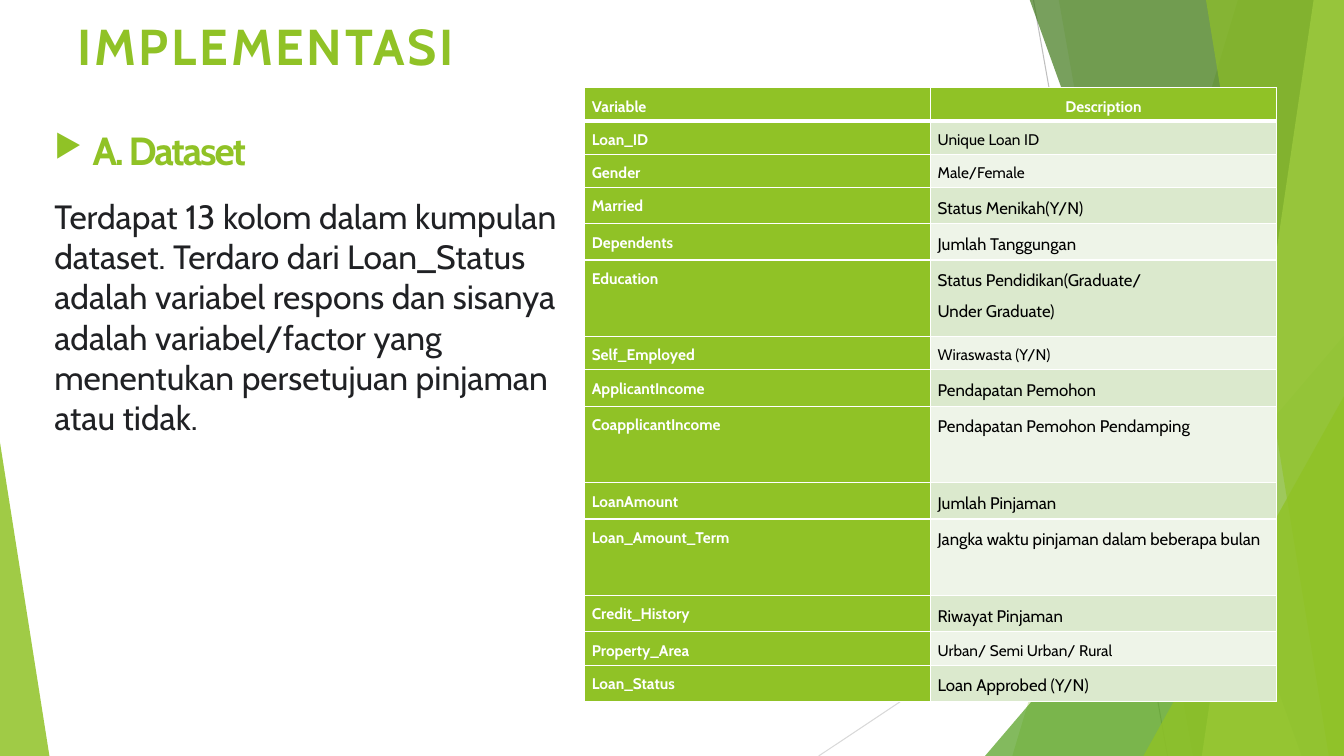
"""Build the IMPLEMENTASI slide with its loan dataset table."""
from lxml.etree import SubElement
from pptx import Presentation
from pptx.dml.color import RGBColor
from pptx.enum.shapes import MSO_CONNECTOR, MSO_SHAPE
from pptx.enum.text import MSO_ANCHOR as ANCHOR, MSO_AUTO_SIZE as AUTO, PP_ALIGN as ALIGN
from pptx.oxml import parse_xml
from pptx.oxml.ns import nsdecls, qn
from pptx.util import Pt

PX = 9144
COLORS = {
    "green": "90C226", "mid": "54A021", "dark": "3F7819", "lime": "C0E474",
    "gray": "BFBFBF", "pale": "D9D9D9", "white": "FFFFFF", "black": "000000",
    "text": "202124", "band": "DBE9CD", "light": "EEF4E8",
}


def style(p, size, color, bold=False, spacing=0):
    for r in p.runs:
        r.font.name = "Cabin"
        r.font.size = Pt(size)
        r.font.bold = bold
        r.font.color.rgb = RGBColor.from_string(COLORS[color])
        if spacing:
            r._r.get_or_add_rPr().set("spc", str(spacing))


def paint(s, color, alpha):
    s.shadow.inherit = False
    s.line.fill.background()
    s.fill.solid()
    s.fill.fore_color.rgb = RGBColor.from_string(COLORS[color])
    clr = s.fill._xPr.find(qn("a:solidFill"))[0]
    SubElement(clr, qn("a:alpha"), val=str(alpha * 1000))


prs = Presentation()
prs.slide_width, prs.slide_height = 1333 * PX, 750 * PX
slide = prs.slides.add_slide(prs.slide_layouts[5])
shapes = slide.shapes

for x1, y1, x2, y2, color in [(1025, 0, 1158, 750, "gray"), (1333, 403, 812, 750, "pale")]:
    line = shapes.add_connector(MSO_CONNECTOR.STRAIGHT, x1 * PX, y1 * PX, x2 * PX, y2 * PX)
    line.line.width = Pt(0.75)
    line.line.color.rgb = RGBColor.from_string(COLORS[color])
    SubElement(line._element.spPr, qn("a:effectLst"))

facets = [
    ("band", 1228, 1004, "green", 30),
    ("band", 1050, 1183, "green", 20),
    ("triangle", (977, 333, 356, 417), 1, "mid", 72),
    ("band", 1021, 1291, "dark", 70),
    ("band", 1303, 1192, "lime", 70),
    ("band", 1196, 1318, "green", 65),
    ("triangle", (1134, 393, 199, 357), 1, "green", 80),
    ("triangle", (0, 439, 49, 311), 0, "green", 85),
]
for kind, a, b, color, alpha in facets:
    if kind == "band":
        outline = shapes.build_freeform(a, -1, scale=PX)
        outline.add_line_segments([(1333, -1), (1333, 750), (b, 750)], close=True)
        s = outline.convert_to_shape()
    else:
        s = shapes.add_shape(MSO_SHAPE.ISOSCELES_TRIANGLE, *[v * PX for v in a])
        s.adjustments[0] = b
    paint(s, color, alpha)

rows = [
    ("Variable", "Description", 33),
    ("Loan_ID", "Unique Loan ID", 33),
    ("Gender", "Male/Female", 33),
    ("Married", "Status Menikah(Y/N)", 36),
    ("Dependents", "Jumlah Tanggungan", 36),
    ("Education", "Status Pendidikan(Graduate/\nUnder Graduate)", 76),
    ("Self_Employed", "Wiraswasta (Y/N)", 33),
    ("ApplicantIncome", "Pendapatan Pemohon", 36),
    ("CoapplicantIncome", "Pendapatan Pemohon Pendamping", 76),
    ("LoanAmount", "Jumlah Pinjaman", 36),
    ("Loan_Amount_Term", "Jangka waktu pinjaman dalam beberapa bulan", 76),
    ("Credit_History", "Riwayat Pinjaman", 36),
    ("Property_Area", "Urban/ Semi Urban/ Rural", 33),
    ("Loan_Status", "Loan Approbed (Y/N)", 36),
]
height = sum(h for _, _, h in rows)
table = shapes.add_table(len(rows), 2, 580 * PX, 87 * PX, 686 * PX, height * PX).table
for col in table.columns:
    col.width = 343 * PX
for i, (variable, description, h) in enumerate(rows):
    table.rows[i].height = h * PX
    for j, text in enumerate((variable, description)):
        cell = table.cell(i, j)
        cell.margin_left = cell.margin_right = 7 * PX
        cell.margin_top = cell.margin_bottom = 0
        cell.text_frame.text = text
        head = i == 0 or j == 0
        for p in cell.text_frame.paragraphs:
            p.alignment = ALIGN.CENTER if i == 0 and j == 1 else ALIGN.JUSTIFY
            p.line_spacing = 1.5
            style(p, 11 if head or h == 33 else 12, "white" if head else "black", head)
        fill = "green" if head else "band" if i % 2 else "light"
        cell.fill.solid()
        cell.fill.fore_color.rgb = RGBColor.from_string(COLORS[fill])
        tcPr = cell._tc.get_or_add_tcPr()
        for n, side in enumerate("LRTB"):
            thick = (i, side) in [(0, "B"), (1, "T")]
            width = Pt(3 if thick else 1)
            tcPr.insert(n, parse_xml(
                f'<a:ln{side} {nsdecls("a")} w="{width}"><a:solidFill>'
                f'<a:srgbClr val="{COLORS["white"]}"/></a:solidFill></a:ln{side}>'))

title = shapes.title
subtitle = shapes.add_textbox(0, 0, PX, PX)
body = shapes.add_textbox(0, 0, PX, PX)
texts = [
    (title, (67, 10, 674, 56), "IMPLEMENTASI", ANCHOR.TOP, ALIGN.LEFT, (36, "green", True, 200)),
    (subtitle, (44, 100, 1160, 77), "A. Dataset", ANCHOR.BOTTOM, ALIGN.JUSTIFY,
     (28, "green", True, -150)),
    (body, (44, 189, 523, 253),
     "Terdapat 13 kolom dalam kumpulan dataset. Terdaro dari Loan_Status adalah variabel "
     "respons dan sisanya adalah variabel/factor yang menentukan persetujuan pinjaman atau tidak.",
     ANCHOR.TOP, ALIGN.LEFT, (24, "text")),
]
for s, box, text, anchor, align, font in texts:
    s.left, s.top, s.width, s.height = [v * PX for v in box]
    tf = s.text_frame
    tf.text = text
    tf.word_wrap = True
    tf.auto_size = AUTO.NONE
    tf.vertical_anchor = anchor
    p = tf.paragraphs[0]
    p.alignment = align
    style(p, *font)

pPr = subtitle.text_frame.paragraphs[0]._p.get_or_add_pPr()
pPr.set("marL", str(38 * PX))
pPr.set("indent", str(-38 * PX))
SubElement(SubElement(pPr, qn("a:buClr")), qn("a:srgbClr"), val=COLORS["green"])
SubElement(pPr, qn("a:buSzPct"), val="80000")
SubElement(pPr, qn("a:buChar"), char="▶")

prs.save("out.pptx")
